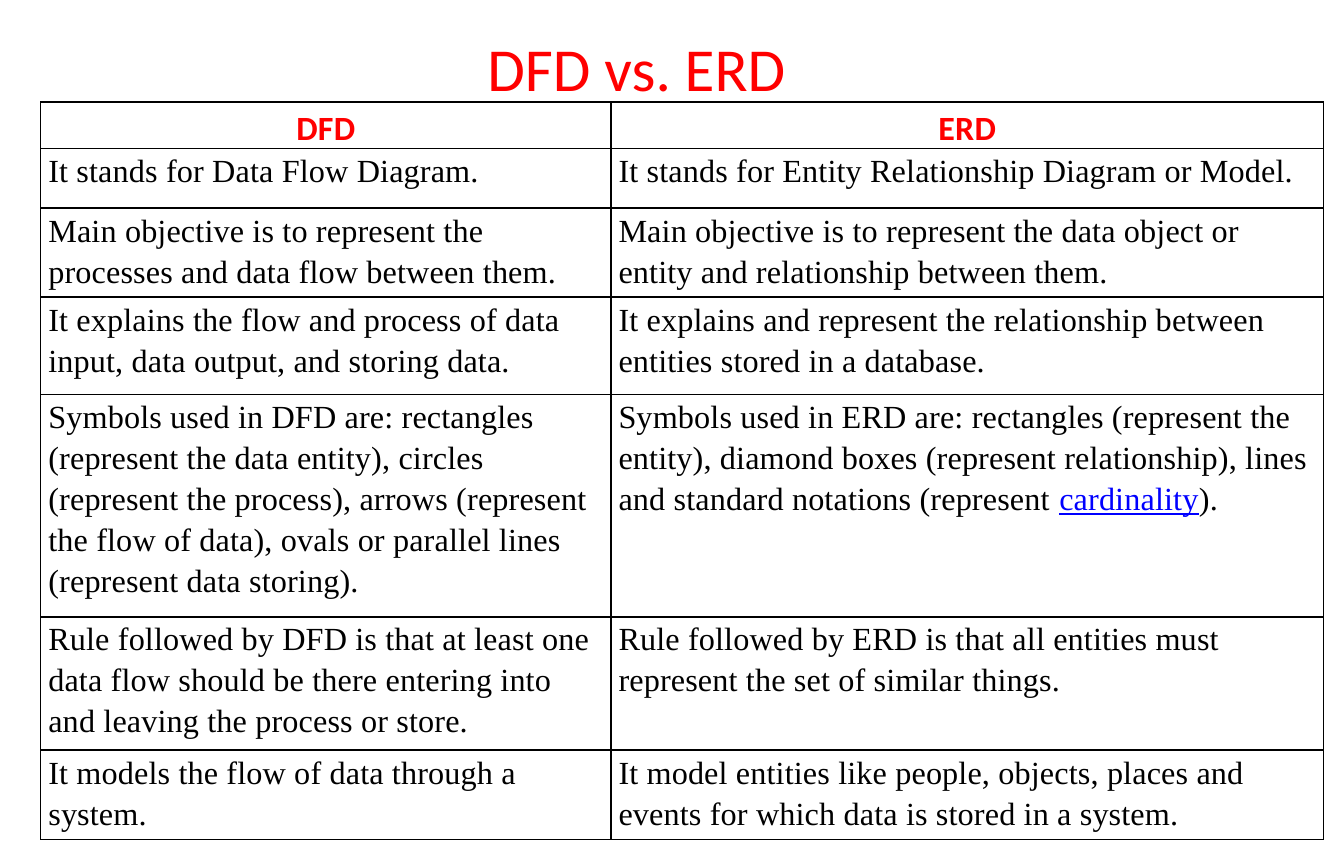
from dataclasses import dataclass

from lxml.etree import SubElement
from pptx import Presentation
from pptx.dml.color import RGBColor
from pptx.enum.text import MSO_ANCHOR, PP_ALIGN
from pptx.oxml.ns import qn
from pptx.util import Pt

COLORS = {"heading": "FF0000", "body": "000000", "link": "0000FF", "border": "000000"}
LINK_WORD = "cardinality"


@dataclass
class Row:
    height: float
    dfd: str
    erd: str


@dataclass
class Style:
    font: str
    size: float
    color: str
    bold: bool = False
    align: PP_ALIGN = PP_ALIGN.LEFT


TITLE = Style("Calibri", 36, "heading", align=PP_ALIGN.CENTER)
HEADER = Style("Calibri", 20, "heading", True, PP_ALIGN.CENTER)
BODY = Style("Times New Roman", 19, "body")

COLUMN_WIDTHS = [336, 420]
ROWS = [
    Row(27, "DFD", "ERD"),
    Row(35, "It stands for Data Flow Diagram.",
        "It stands for Entity Relationship Diagram or Model."),
    Row(52.5, "Main objective is to represent the processes and data flow between them.",
        "Main objective is to represent the data object or entity and relationship "
        "between them."),
    Row(57.5, "It explains the flow and process of data input, data output, and storing data.",
        "It explains and represent the relationship between entities stored in a database."),
    Row(131, "Symbols used in DFD are: rectangles (represent the data entity), circles "
        "(represent the process), arrows (represent the flow of data), ovals or parallel "
        "lines (represent data storing).",
        "Symbols used in ERD are: rectangles (represent the entity), diamond boxes "
        "(represent relationship), lines and standard notations (represent cardinality)."),
    Row(78.5, "Rule followed by DFD is that at least one data flow should be there entering "
        "into and leaving the process or store.",
        "Rule followed by ERD is that all entities must represent the set of similar things."),
    Row(52.5, "It models the flow of data through a system.",
        "It model entities like people, objects, places and events for which data is "
        "stored in a system."),
]


def rgb(name: str) -> RGBColor:
    return RGBColor.from_string(COLORS[name])


def style_paragraph(p, style: Style) -> None:
    p.alignment = style.align
    f = p.font
    f.name, f.size, f.bold = style.font, Pt(style.size), style.bold
    f.color.rgb = rgb(style.color)


def add_borders(cell) -> None:
    tcPr = cell._tc.get_or_add_tcPr()
    for side in ("a:lnL", "a:lnR", "a:lnT", "a:lnB"):
        ln = SubElement(tcPr, qn(side), w=str(Pt(1)))
        fill = SubElement(ln, qn("a:solidFill"))
        SubElement(fill, qn("a:srgbClr"), val=COLORS["border"])


def fill_cell(cell, text: str, style: Style) -> None:
    add_borders(cell)
    cell.fill.background()
    cell.margin_left = cell.margin_right = Pt(4.5)
    cell.margin_top = cell.margin_bottom = Pt(0)
    p = cell.text_frame.paragraphs[0]
    p.line_spacing = 1.15
    style_paragraph(p, style)
    before, link, after = text.partition(LINK_WORD)
    for part in filter(None, (before, link, after)):
        r = p.add_run()
        r.text = part
        r._r.get_or_add_rPr().set("spc", "10")
        if part == LINK_WORD:
            r.font.underline = True
            r.font.color.rgb = rgb("link")


def add_title(s, text: str) -> None:
    sp = s.shapes.add_textbox(Pt(144.5), Pt(16.5), Pt(461), Pt(45))
    tf = sp.text_frame
    tf.word_wrap = True
    tf.vertical_anchor = MSO_ANCHOR.MIDDLE
    tf.margin_left = tf.margin_right = tf.margin_bottom = Pt(0)
    tf.margin_top = Pt(1)
    p = tf.paragraphs[0]
    p.text = text
    style_paragraph(p, TITLE)


def add_comparison(s) -> None:
    height = sum(row.height for row in ROWS)
    table = s.shapes.add_table(len(ROWS), len(COLUMN_WIDTHS), Pt(24), Pt(60),
                               Pt(sum(COLUMN_WIDTHS)), Pt(height)).table
    table.first_row = table.horz_banding = False
    for column, width in zip(table.columns, COLUMN_WIDTHS):
        column.width = Pt(width)
    for i, row in enumerate(ROWS):
        table.rows[i].height = Pt(row.height)
        for j, text in enumerate((row.dfd, row.erd)):
            fill_cell(table.cell(i, j), text, BODY if i else HEADER)


def main() -> None:
    prs = Presentation()
    prs.slide_width, prs.slide_height = Pt(792), Pt(504)
    s = prs.slides.add_slide(prs.slide_layouts[6])

    # Title
    add_title(s, "DFD vs. ERD")

    # Comparison table
    add_comparison(s)

    prs.save("out.pptx")


if __name__ == "__main__":
    main()
